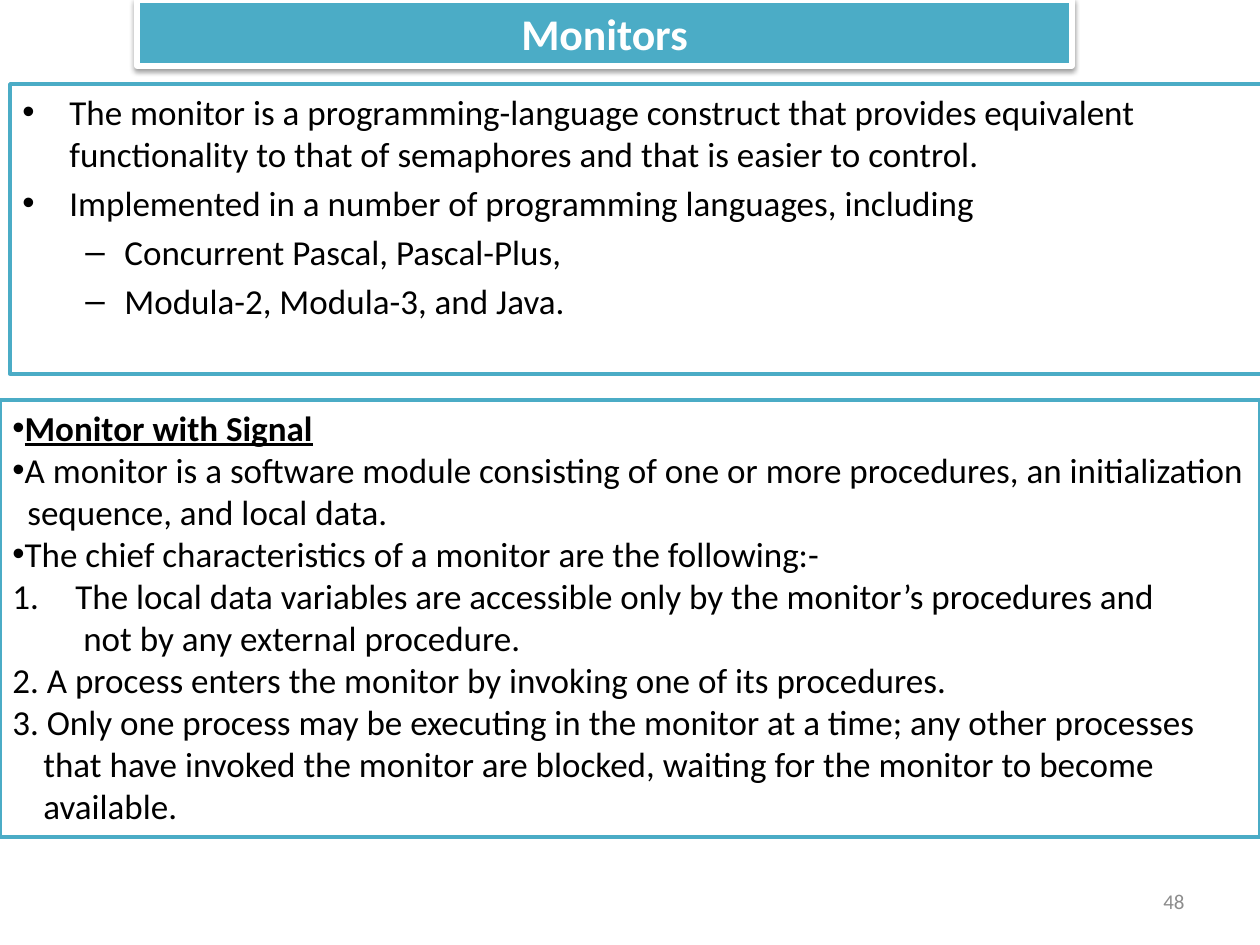
"""Builds the Monitors slide: title bar, two framed text panels, page number."""
from lxml import etree
from pptx import Presentation
from pptx import util as u
from pptx.dml.color import RGBColor
from pptx.enum import shapes, text
from pptx.oxml.ns import qn

PX = 914400 / 126
TEAL, WHITE, BLACK, GREY = "4BACC6", "FFFFFF", "000000", "8C8C8C"
FONT = "Calibri"

# Each line: marker, left margin px, first-line indent px, space before pt, heading, words
INTRO = [
    ("•", 47, -47, 0, False, "The monitor is a programming-language construct that provides equivalent "
     "functionality to that of semaphores and that is easier to control."),
    ("•", 47, -47, 4, False, "Implemented in a number of programming languages, including"),
    ("–", 102, -39, 4, False, "Concurrent Pascal, Pascal-Plus,"),
    ("–", 102, -39, 4, False, "Modula-2, Modula-3, and Java."),
]
SIGNAL = [
    ("•", 0, 0, 0, True, "Monitor with Signal"),
    ("•", 0, 0, 0, False, "A monitor is a software module consisting of one or more procedures, an initialization"),
    ("", 15, 0, 0, False, "sequence, and local data."),
    ("•", 0, 0, 0, False, "The chief characteristics of a monitor are the following:-"),
    ("1.", 63, -63, 0, False, "The local data variables are accessible only by the monitor’s procedures and"),
    ("", 71, 0, 0, False, "not by any external procedure."),
    ("", 0, 0, 0, False, "2. A process enters the monitor by invoking one of its procedures."),
    ("", 0, 0, 0, False, "3. Only one process may be executing in the monitor at a time; any other processes"),
    ("", 31, 0, 0, False, "that have invoked the monitor are blocked, waiting for the monitor to become"),
    ("", 31, 0, 0, False, "available."),
]
PANELS = [((10, 84, 1260, 290), INTRO), ((0, 400, 1260, 437), SIGNAL)]
TITLE, TITLE_BOX = "Monitors", (137, 0, 935, 66)
PAGE, PAGE_BOX = "48", (903, 876, 294, 50)


def px(n):
    return u.Emu(round(n * PX))


def color(value):
    return RGBColor.from_string(value)


def add_box(slide, box, fill, line, width):
    bar = slide.shapes.add_shape(shapes.MSO_SHAPE.RECTANGLE, *map(px, box))
    bar.shadow.inherit = False
    bar.fill.solid()
    bar.fill.fore_color.rgb = color(fill)
    bar.line.color.rgb = color(line)
    bar.line.width = u.Pt(width)
    bar.text_frame.word_wrap = True
    return bar


def add_words(paragraph, words, size, tone, align, bold=False, underline=False):
    paragraph.alignment = align
    run = paragraph.add_run()
    run.text = words
    run.font.name, run.font.size = FONT, u.Pt(size)
    run.font.bold, run.font.underline = bold, underline
    run.font.color.rgb = color(tone)


def set_marker(paragraph, marker, left, indent):
    props = paragraph._p.get_or_add_pPr()
    props.set("marL", str(px(left)))
    props.set("indent", str(px(indent)))
    if not marker:
        etree.SubElement(props, qn("a:buNone"))
    elif marker == "1.":
        etree.SubElement(props, qn("a:buAutoNum"), type="arabicPeriod")
    else:
        etree.SubElement(props, qn("a:buFont"), typeface="Arial")
        etree.SubElement(props, qn("a:buChar"), char=marker)


def add_panel(slide, box, lines):
    frame = add_box(slide, box, WHITE, TEAL, 2).text_frame
    frame.vertical_anchor = text.MSO_ANCHOR.TOP
    for i, (marker, left, indent, before, heading, words) in enumerate(lines):
        paragraph = frame.add_paragraph() if i else frame.paragraphs[0]
        paragraph.space_before = u.Pt(before)
        set_marker(paragraph, marker, left, indent)
        add_words(paragraph, words, 20, BLACK, text.PP_ALIGN.LEFT, heading, heading)


def add_title(slide):
    bar = add_box(slide, TITLE_BOX, TEAL, WHITE, 3)
    effects = bar._element.spPr.find(qn("a:effectLst"))
    shadow = etree.SubElement(effects, qn("a:outerShdw"), blurRad=str(u.Pt(3.1)),
                              dist=str(u.Pt(1.6)), dir="5400000", rotWithShape="0")
    tone = etree.SubElement(shadow, qn("a:srgbClr"), val=BLACK)
    etree.SubElement(tone, qn("a:alpha"), val="38000")
    add_words(bar.text_frame.paragraphs[0], TITLE, 25, WHITE, text.PP_ALIGN.CENTER, True)


def add_page(slide):
    frame = slide.shapes.add_textbox(*map(px, PAGE_BOX)).text_frame
    frame.word_wrap = True
    frame.vertical_anchor = text.MSO_ANCHOR.MIDDLE
    add_words(frame.paragraphs[0], PAGE, 12, GREY, text.PP_ALIGN.RIGHT)


def main():
    deck = Presentation()
    deck.slide_width, deck.slide_height = px(1260), px(945)
    slide = deck.slides.add_slide(deck.slide_layouts[6])
    intro, signal = PANELS
    add_panel(slide, *intro)
    add_page(slide)
    add_title(slide)
    add_panel(slide, *signal)
    deck.save("out.pptx")


if __name__ == "__main__":
    main()
